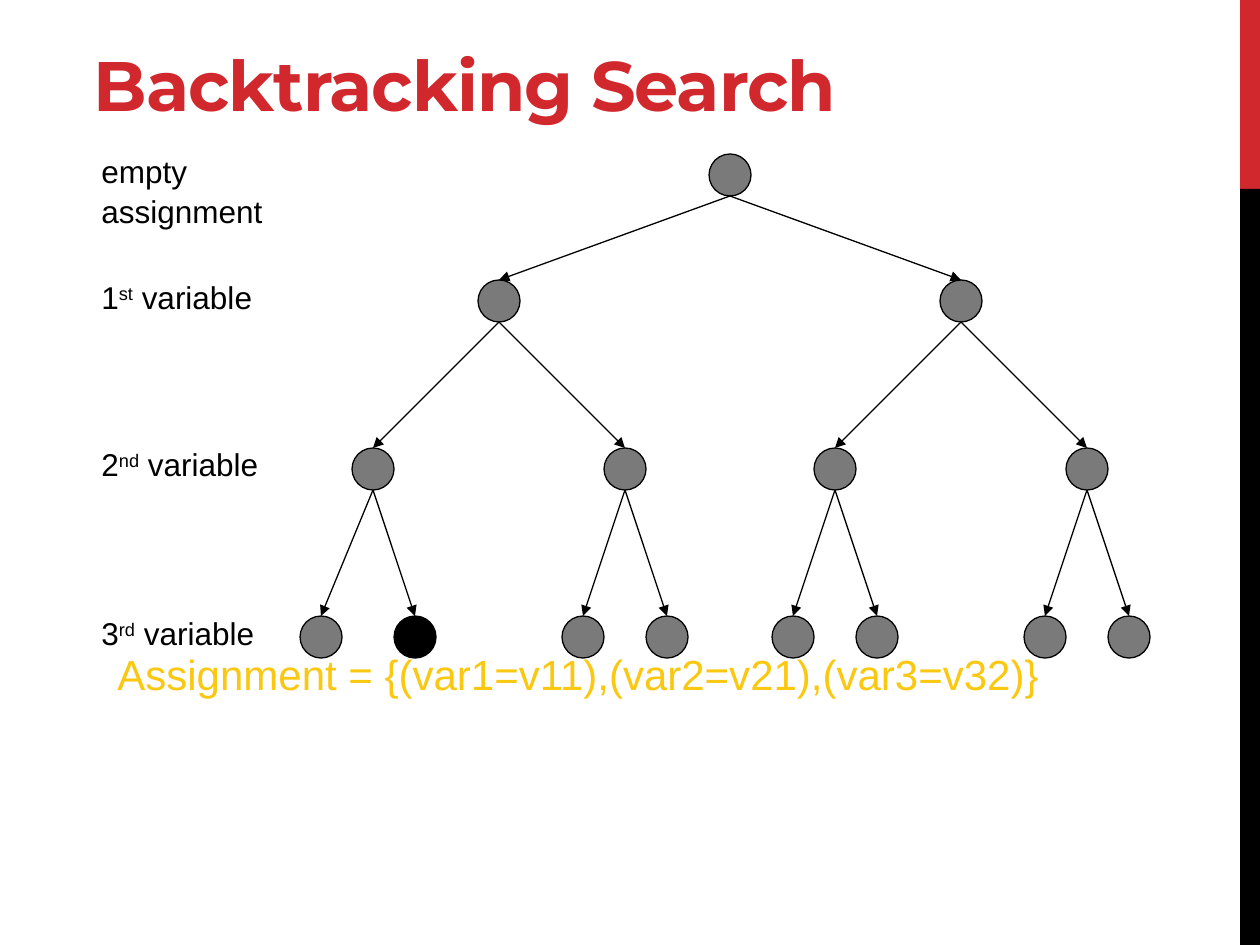
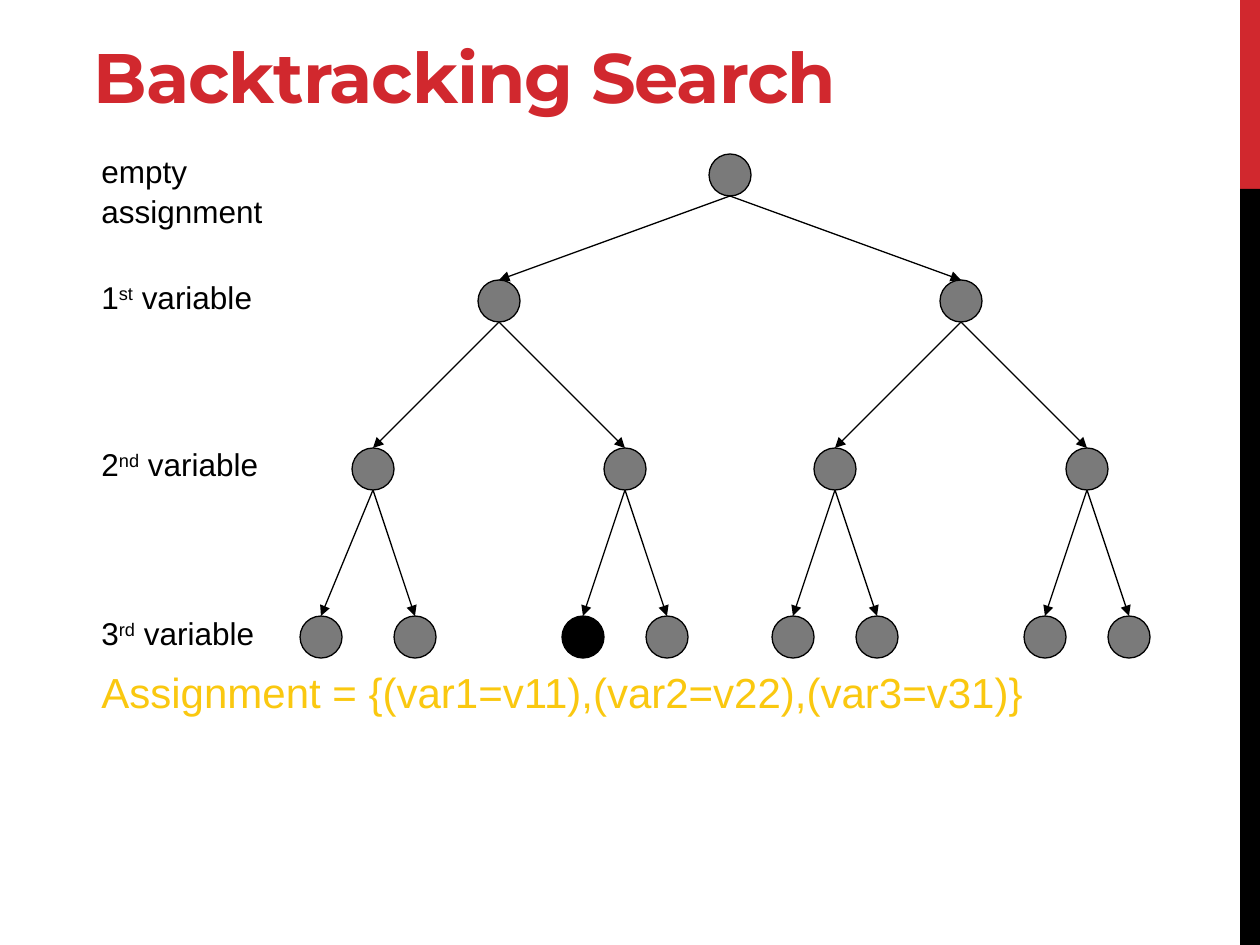
"""Build two slides that trace a backtracking search over a binary tree."""
import pptx
import pptx.dml.color
import pptx.enum.shapes
import pptx.enum.text
import pptx.oxml
import pptx.oxml.ns
import pptx.util

RED = pptx.dml.color.RGBColor(0xD1, 0x28, 0x2E)
BLACK = pptx.dml.color.RGBColor(0, 0, 0)
GRAY = pptx.dml.color.RGBColor(0x7A, 0x7A, 0x7A)
GOLD = pptx.dml.color.RGBColor(0xFA, 0xC8, 0x10)
SCALE = 914400 / 126
WIDE, HIGH = 1260, 945
DOT = 42
ROOT = 730
TOPS = (154, 280, 448, 616)
GAPS = (231, 126, 42)
SHIFT = 10
LABELS = (
    (144, 280, ("empty assignment",)),
    (270, 178, ("1", "st", " variable")),
    (437, 185, ("2", "nd", " variable")),
    (606, 180, ("3", "rd", " variable")),
)
CASES = (
    (107, 1, 105, 640, "Assignment = {(var1=v11),(var2=v21),(var3=v32)}"),
    (100, 2, 89, 658, "Assignment = {(var1=v11),(var2=v22),(var3=v31)}"),
)


def px(count):
    return pptx.util.Emu(round(count * SCALE))


class Deck:
    def __init__(self):
        self.show = pptx.Presentation()
        self.show.slide_width, self.show.slide_height = px(WIDE), px(HIGH)
        self.slide = None

    def page(self):
        self.slide = self.show.slides.add_slide(self.show.slide_layouts[6])
        self.band(0, 189, RED)
        self.band(189, HIGH - 189, BLACK)

    def shape(self, kind, box, fill):
        item = self.slide.shapes.add_shape(kind, *map(px, box))
        item.shadow.inherit = False
        item.fill.solid()
        item.fill.fore_color.rgb = fill
        return item

    def band(self, top, high, fill):
        kind = pptx.enum.shapes.MSO_SHAPE.RECTANGLE
        self.shape(kind, (1240, top, 20, high), fill).line.fill.background()

    def node(self, mid, top, fill):
        kind = pptx.enum.shapes.MSO_SHAPE.OVAL
        item = self.shape(kind, (mid - DOT // 2, top, DOT, DOT), fill)
        item.line.color.rgb = BLACK
        item.line.width = pptx.util.Pt(0.75)
        return item

    def arrow(self, start, goal):
        kind = pptx.enum.shapes.MSO_CONNECTOR.STRAIGHT
        line = self.slide.shapes.add_connector(
            kind, start.left + start.width // 2, start.top + start.height, 0, 0)
        line.end_connect(goal, 0)
        line.line.color.rgb = BLACK
        line.line.width = pptx.util.Pt(0.75)
        make = pptx.oxml.ns.qn
        edge = line.line._get_or_add_ln()
        edge.append(edge.makeelement(make("a:tailEnd"), {"type": "triangle"}))
        edge.addnext(edge.makeelement(make("a:effectLst"), {}))

    def text(self, box, parts, size, color, face="Arial"):
        item = self.slide.shapes.add_textbox(*map(px, box))
        frame = item.text_frame
        frame.word_wrap = False
        para = frame.paragraphs[0]
        for spot, part in enumerate(parts):
            run = para.add_run()
            run.text = part
            if spot == 1:
                run._r.get_or_add_rPr().set("baseline", "30000")
        para.font.name = face
        para.font.size = pptx.util.Pt(size)
        para.font.color.rgb = color
        return frame

    def body(self, box, parts, size, color):
        frame = self.text(box, parts, size, color)
        frame.paragraphs[0].line_spacing = 1.05
        return frame

    def title(self, words, high):
        frame = self.text((63, 21, 1162, high), (words,), 40, RED, "Montserrat")
        frame.word_wrap = True
        frame.vertical_anchor = pptx.enum.text.MSO_ANCHOR.BOTTOM
        frame.margin_left, frame.margin_bottom = px(31), px(3)
        para = frame.paragraphs[0]
        para.font.bold = True
        para.runs[0]._r.get_or_add_rPr().set("spc", "-60")

    def tree(self, found):
        row = [(ROOT, self.node(ROOT, TOPS[0], GRAY))]
        for top, gap in zip(TOPS[1:], GAPS):
            leaf = top == TOPS[-1]
            kids = []
            for mid, head in row:
                for side in (-gap, gap):
                    spot = len(kids)
                    at = mid + side - (SHIFT if leaf and spot == 0 else 0)
                    fill = BLACK if leaf and spot == found else GRAY
                    kid = self.node(at, top, fill)
                    self.arrow(head, kid)
                    kids.append((at, kid))
            row = kids


def main():
    deck = Deck()
    for high, found, left, top, words in CASES:
        deck.page()
        deck.title("Backtracking Search", high)
        deck.tree(found)
        for level, (y, wide, parts) in enumerate(LABELS):
            frame = deck.body((89, y, wide, 50), parts, 18, BLACK)
            if level == 0:
                frame.word_wrap = True
                frame.margin_right = px(80)
        deck.body((left, top, 995, 63), (words,), 24, GOLD)
    deck.show.save("out.pptx")


if __name__ == "__main__":
    main()
